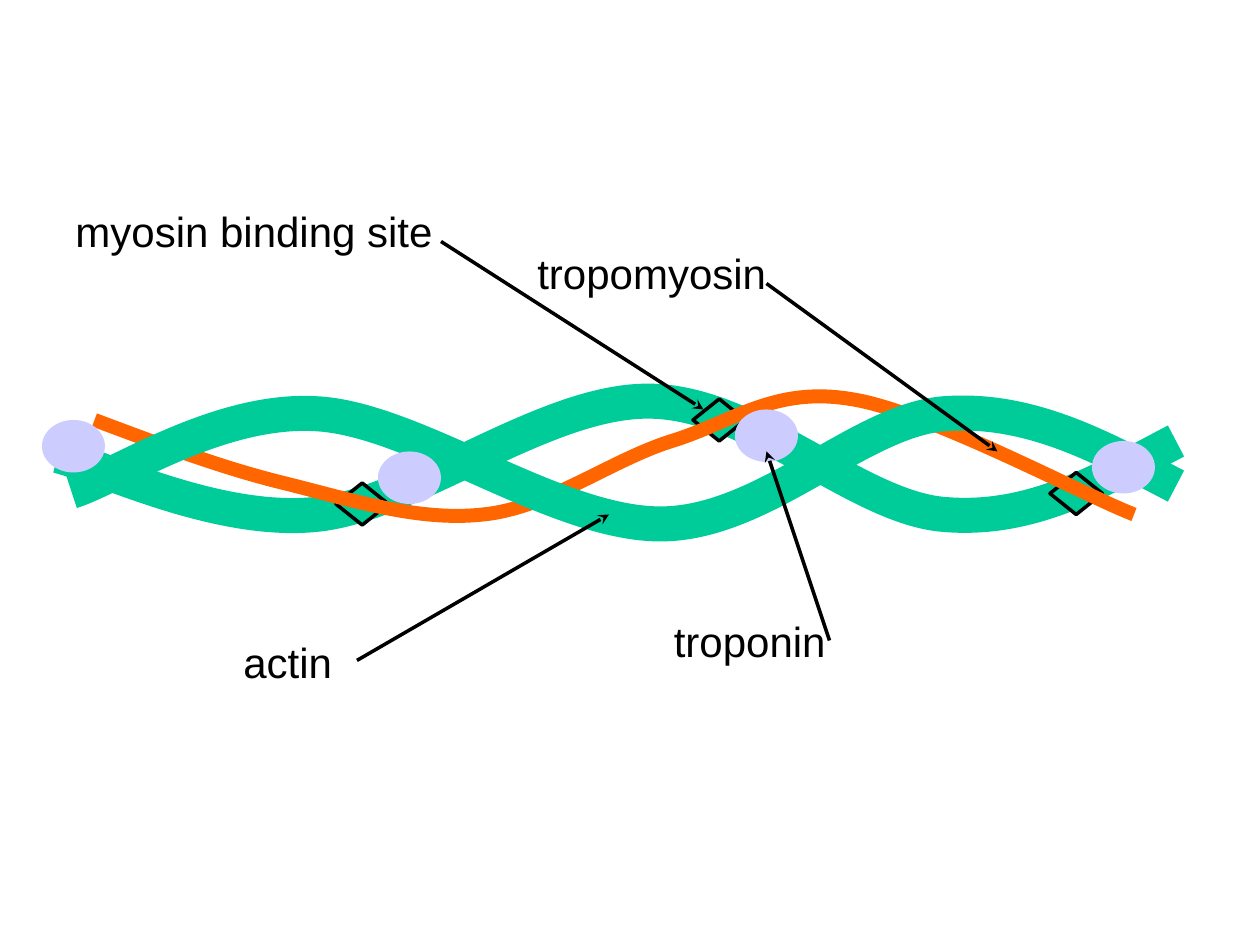
from dataclasses import dataclass

from lxml.etree import SubElement
from pptx import Presentation
from pptx.dml.color import RGBColor
from pptx.enum.shapes import MSO_CONNECTOR as Connector, MSO_SHAPE as Preset
from pptx.enum.text import MSO_AUTO_SIZE as AutoSize
from pptx.oxml.ns import qn
from pptx.util import Pt

EMU_PER_PX = 7620


def emu(px):
    return px * EMU_PER_PX


@dataclass(frozen=True)
class Theme:
    font: str = "Arial"
    label_size: int = 24
    ink: str = "000000"
    actin: str = "00CC99"
    tropomyosin: str = "FF6600"
    troponin: str = "CCCCFF"
    strand_width: int = 20
    thread_width: int = 8
    outline_width: int = 2


class Painter:
    def __init__(self, page, theme):
        self.page = page
        self.theme = theme

    def stroke(self, line, color, width):
        line.color.rgb = RGBColor.from_string(color)
        line.width = Pt(width)

    def curve(self, start, points, color, width):
        builder = self.page.shapes.build_freeform(*start, scale=EMU_PER_PX)
        builder.add_line_segments(points, close=False)
        shape = builder.convert_to_shape()
        shape.shadow.inherit = False
        shape.fill.background()
        self.stroke(shape.line, color, width)
        outline = shape._element.find(".//" + qn("a:path"))
        segments = outline.findall(qn("a:lnTo"))
        for first in range(0, len(segments), 3):
            bezier = SubElement(outline, qn("a:cubicBezTo"))
            for segment in segments[first:first + 3]:
                bezier.append(segment[0])
                outline.remove(segment)

    def preset(self, kind, left, top, width, height, color, outlined=False):
        shape = self.page.shapes.add_shape(
            kind, emu(left), emu(top), emu(width), emu(height))
        shape.shadow.inherit = False
        shape.fill.solid()
        shape.fill.fore_color.rgb = RGBColor.from_string(color)
        if outlined:
            self.stroke(shape.line, self.theme.ink, self.theme.outline_width)
        else:
            shape.line.fill.background()

    def binding_site(self, left, top):
        self.preset(Preset.DIAMOND, left, top, 50, 40, self.theme.actin, True)

    def troponin(self, left, top):
        self.preset(Preset.OVAL, left, top, 60, 50, self.theme.troponin)

    def label(self, text, left, top, width):
        box = self.page.shapes.add_textbox(emu(left), emu(top), emu(width), emu(60))
        frame = box.text_frame
        frame.word_wrap = True
        frame.auto_size = AutoSize.SHAPE_TO_FIT_TEXT
        paragraph = frame.paragraphs[0]
        paragraph.text = text
        paragraph.font.name = self.theme.font
        paragraph.font.size = Pt(self.theme.label_size)
        paragraph.font.color.rgb = RGBColor.from_string(self.theme.ink)

    def arrow(self, start, end):
        arrow = self.page.shapes.add_connector(
            Connector.STRAIGHT, *map(emu, start + end))
        self.stroke(arrow.line, self.theme.ink, self.theme.outline_width)
        properties = arrow._element.spPr
        SubElement(properties.find(qn("a:ln")), qn("a:tailEnd"), type="stealth")
        SubElement(properties, qn("a:effectLst"))


BACK_STRAND = [
    (96, 444), (206, 499), (300, 490), (394, 481), (517, 382), (617, 382),
    (718, 382), (816, 484), (900, 490), (984, 497), (1051, 456), (1120, 420),
]
THREAD = [
    (149, 422), (209, 445), (270, 460), (331, 475), (398, 497), (460, 490),
    (522, 484), (582, 438), (640, 420), (698, 402), (737, 368), (810, 380),
    (883, 391), (1033, 472), (1080, 490),
]
FRONT_STRAND = [
    (108, 456), (206, 389), (300, 394), (394, 398), (528, 499), (629, 499),
    (728, 499), (818, 400), (900, 394), (982, 388), (1051, 427), (1120, 463),
]
BINDING_SITES = [(1000, 450), (660, 380), (320, 460)]
TROPONINS = [(700, 390), (40, 400), (1040, 420), (360, 430)]
LABELS = [
    ("actin", 220, 600, 110, (340, 629), (580, 490)),
    ("troponin", 630, 580, 230, (790, 610), (730, 430)),
    ("tropomyosin", 500, 230, 410, (730, 270), (950, 430)),
    ("myosin binding site", 60, 190, 390, (420, 230), (670, 390)),
]


def main():
    deck = Presentation()
    deck.slide_width, deck.slide_height = emu(1200), emu(900)
    page = deck.slides.add_slide(deck.slide_layouts[6])
    theme = Theme()
    painter = Painter(page, theme)

    painter.curve((55, 434), BACK_STRAND, theme.actin, theme.strand_width)
    for left, top in BINDING_SITES:
        painter.binding_site(left, top)
    painter.curve((90, 400), THREAD, theme.tropomyosin, theme.thread_width)
    painter.curve((68, 468), FRONT_STRAND, theme.actin, theme.strand_width)
    for left, top in TROPONINS:
        painter.troponin(left, top)
    for text, left, top, width, start, end in LABELS:
        painter.label(text, left, top, width)
        painter.arrow(start, end)

    deck.save("out.pptx")


if __name__ == "__main__":
    main()
